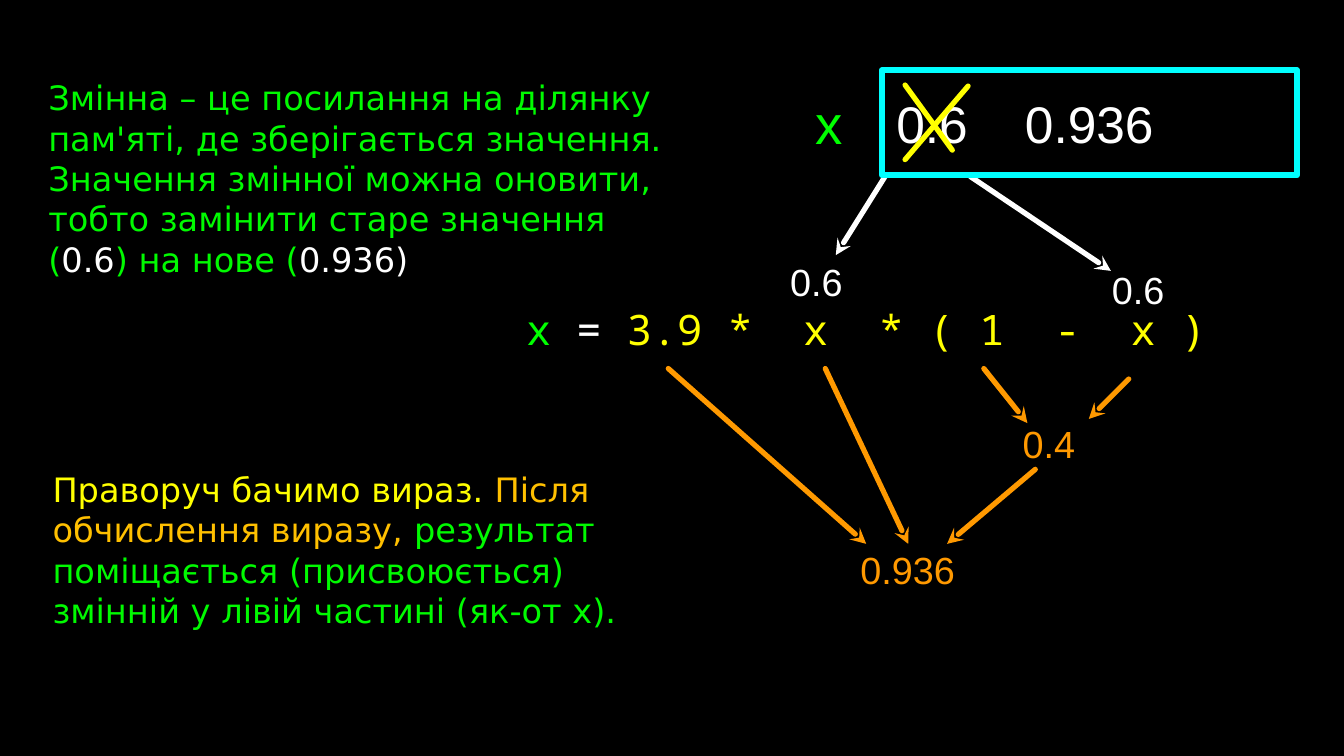
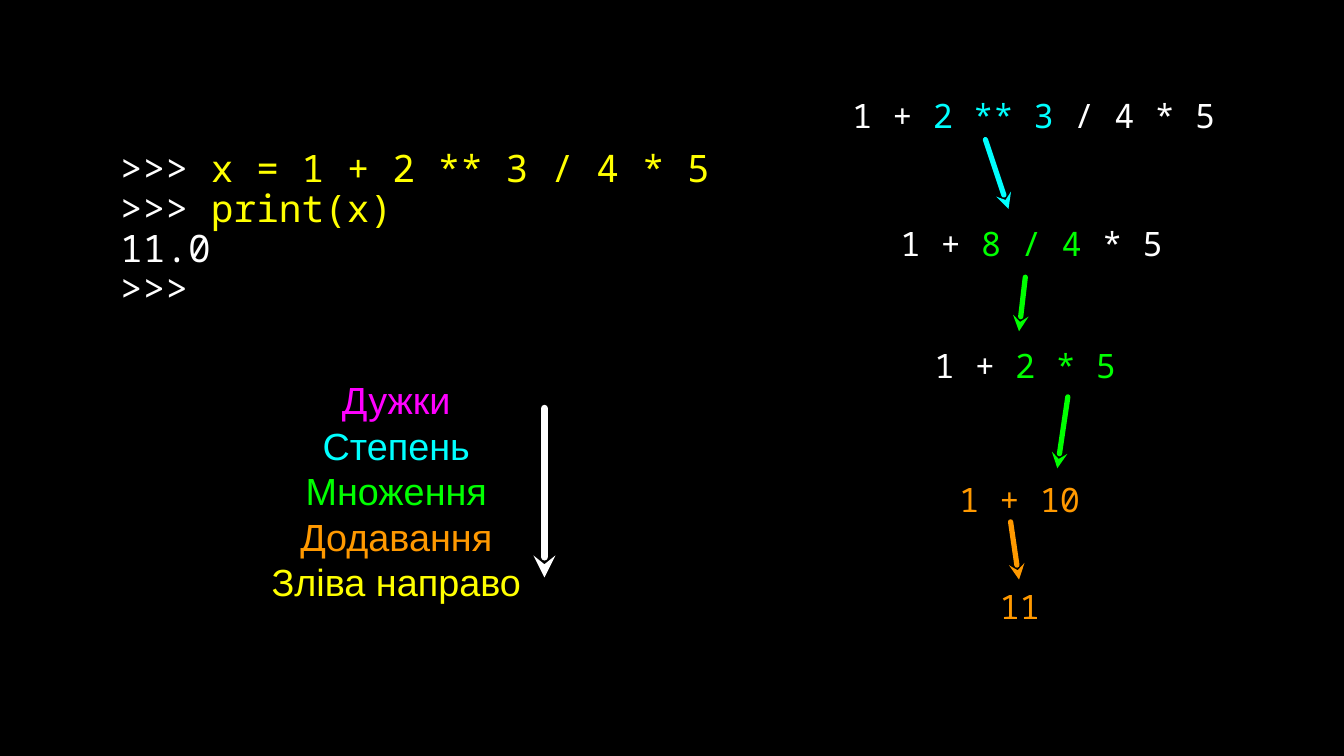
from lxml import etree
from pptx import Presentation
from pptx.dml.color import RGBColor
from pptx.enum.shapes import MSO_CONNECTOR, MSO_SHAPE
from pptx.enum.text import MSO_ANCHOR, PP_ALIGN
from pptx.oxml.ns import qn
from pptx.util import Pt

STRAIGHT = MSO_CONNECTOR.STRAIGHT
RECTANGLE = MSO_SHAPE.RECTANGLE
MIDDLE = MSO_ANCHOR.MIDDLE
LEFT, CENTER = PP_ALIGN.LEFT, PP_ALIGN.CENTER

BLACK = RGBColor(0x00, 0x00, 0x00)
WHITE = RGBColor(0xFF, 0xFF, 0xFF)
GREEN = RGBColor(0x00, 0xFF, 0x00)
NOTE_GREEN = RGBColor(0x00, 0xFA, 0x00)
YELLOW = RGBColor(0xFF, 0xFF, 0x00)
AMBER = RGBColor(0xFF, 0xC0, 0x00)
ORANGE = RGBColor(0xFF, 0x99, 0x00)
CYAN = RGBColor(0x00, 0xFF, 0xFF)
MAGENTA = RGBColor(0xFF, 0x00, 0xFF)

SANS = "Arial"
NOTE_FONT = "DejaVu Sans"
MONO = "Noto Sans Mono"


def add_slide(presentation):
    """Add a blank slide with the shared black background."""
    slide = presentation.slides.add_slide(presentation.slide_layouts[6])
    slide.background.fill.solid()
    slide.background.fill.fore_color.rgb = BLACK
    return slide


def fill_text(shape, lines, font, size, align=LEFT, spacing=None, indent=0, tab=None):
    """Write lines of (text, colour) runs into a shape."""
    frame = shape.text_frame
    frame.word_wrap = True
    frame.vertical_anchor = MIDDLE
    frame.margin_left = Pt(indent)
    frame.margin_top = frame.margin_right = frame.margin_bottom = 0
    for index, line in enumerate(lines):
        paragraph = frame.add_paragraph() if index else frame.paragraphs[0]
        if tab:
            tabs = etree.SubElement(paragraph._p.get_or_add_pPr(), qn("a:tabLst"))
            etree.SubElement(tabs, qn("a:tab"), pos=str(Pt(tab)), algn="l")
        paragraph.alignment = align
        paragraph.line_spacing = spacing
        for text, color in line:
            run = paragraph.add_run()
            run.text = text
            run.font.name = font
            run.font.size = Pt(size)
            run.font.color.rgb = color


def add_text(shapes, left, top, width, height, lines, font, size, **style):
    """Add a text box at the given place."""
    shape = shapes.add_textbox(Pt(left), Pt(top), Pt(width), Pt(height))
    fill_text(shape, lines, font, size, **style)


def add_line(shapes, origin, points, color, weight=5, arrow=True):
    """Draw a round-capped line between two points measured from the origin."""
    left, top = origin
    x1, y1, x2, y2 = points
    connector = shapes.add_connector(
        STRAIGHT, Pt(left + x1), Pt(top + y1), Pt(left + x2), Pt(top + y2))
    connector.line.color.rgb = color
    connector.line.width = Pt(weight)
    properties = connector._element.spPr
    outline = properties.find(qn("a:ln"))
    outline.set("cap", "rnd")
    if arrow:
        etree.SubElement(outline, qn("a:tailEnd"), type="stealth")
    etree.SubElement(properties, qn("a:effectLst"))


def add_note(slide, box, runs):
    """Place an explanatory paragraph in its box."""
    add_text(slide.shapes, *box, [runs], NOTE_FONT, 32, spacing=Pt(38.4))


def add_memory_cell(slide, box):
    """Show the variable name beside its cell, with the old value crossed out."""
    left, top, width, height = box
    name_width = 68
    cell = slide.shapes.add_shape(
        RECTANGLE, Pt(left + name_width), Pt(top), Pt(width - name_width), Pt(height))
    cell.shadow.inherit = False
    cell.fill.background()
    cell.line.color.rgb = CYAN
    cell.line.width = Pt(6)
    fill_text(cell, [[("0.6\t0.936", WHITE)]], SANS, 49, indent=13.6, tab=122.6)
    add_text(slide.shapes, left, top, 36, height, [[("x", GREEN)]], SANS, 52, align=CENTER)
    for stroke in ((150, 15, 90, 85), (90, 14, 135, 76)):
        add_line(slide.shapes, (left, top), stroke, YELLOW, arrow=False)


def add_evaluation(slide, box):
    """Show the assignment with its substituted and computed values."""
    left, top, width, _ = box
    shapes = slide.shapes
    formula = [("x ", GREEN), ("= ", WHITE), ("3.9 *  x  * ( 1  -  x )", YELLOW)]
    add_text(shapes, left, top + 25, width, 91, [formula], MONO, 40)
    values = [
        ("0.6", WHITE, 241, 0, 71),
        ("0.6", WHITE, 541, 8, 84),
        ("0.4", ORANGE, 456, 155, 84),
        ("0.936", ORANGE, 295, 275, 137),
    ]
    for text, color, x, y, value_width in values:
        add_text(shapes, left + x, top + y, value_width, 49, [[(text, color)]],
                 SANS, 36, align=CENTER)
    arrows = [
        (WHITE, (342, -75, 295, 0)),
        (WHITE, (423, -75, 557, 15)),
        (ORANGE, (135.5, 108, 324, 275)),
        (ORANGE, (285, 108, 364, 275)),
        (ORANGE, (436, 108, 477.5, 160)),
        (ORANGE, (574, 118, 536, 156)),
        (ORANGE, (485, 204, 401, 275)),
    ]
    for color, points in arrows:
        add_line(shapes, (left, top), points, color)


def add_console(slide, box):
    """Show the interactive session."""
    lines = [
        [(">>> ", WHITE), ("x = 1 + 2 ** 3 / 4 * 5", YELLOW)],
        [(">>> ", WHITE), ("print(x)", YELLOW)],
        [("11.0", WHITE)],
        [(">>>", WHITE)],
    ]
    add_text(slide.shapes, *box, lines, MONO, 36, spacing=0.88)


def add_precedence(slide, box):
    """List operators by priority beside a downward arrow."""
    left, top, width, height = box
    shapes = slide.shapes.add_group_shape().shapes
    lines = [
        [("Дужки", MAGENTA)],
        [("Степень", CYAN)],
        [("Множення", GREEN)],
        [("Додавання", ORANGE)],
        [("Зліва направо", YELLOW)],
    ]
    add_text(shapes, left, top, width, height, lines, SANS, 36,
             align=CENTER, spacing=Pt(43.2))
    arrow_x = width + 19
    add_line(shapes, (left, top), (arrow_x, 38, arrow_x, 199), WHITE, weight=7)


def add_steps(slide, box):
    """Reduce the expression step by step, with an arrow between steps."""
    left, top, width, _ = box
    steps = [
        (0, 0, width, [("1 + ", WHITE), ("2 ** 3", CYAN), (" / 4 * 5", WHITE)]),
        (46, 122, 318, [("1 + ", WHITE), ("8 / 4", GREEN), (" * 5", WHITE)]),
        (78.5, 238, 253, [("1 + ", WHITE), ("2 * 5", GREEN)]),
        (102, 366.5, 178, [("1 + 10", ORANGE)]),
        (140.5, 468, 57, [("11", ORANGE)]),
    ]
    for x, y, step_width, runs in steps:
        add_text(slide.shapes, left + x, top + y, step_width, 62.5, [runs], MONO, 32)
    arrows = [
        (CYAN, (127, 55, 149, 121)),
        (GREEN, (165, 186, 159, 237.5)),
        (GREEN, (205.5, 300, 195.5, 368)),
        (ORANGE, (151, 419, 159, 474)),
    ]
    for color, points in arrows:
        add_line(slide.shapes, (left, top), points, color)


def build_variable_slide(presentation):
    """Explain how a variable's value is updated."""
    slide = add_slide(presentation)
    add_evaluation(slide, (501, 243, 696, 324))
    add_memory_cell(slide, (772, 67, 463, 100))
    add_note(slide, (50, 442, 603, 163), [
        ("Праворуч бачимо вираз. ", YELLOW),
        ("Після обчислення виразу, ", AMBER),
        ("результат поміщається (присвоюється) змінній у лівій частині (як-от x).",
         NOTE_GREEN),
    ])
    add_note(slide, (46, 53, 591, 233), [
        ("Змінна – це посилання на ділянку пам'яті, де зберігається значення. "
         "Значення змінної можна оновити, тобто замінити старе значення (", NOTE_GREEN),
        ("0.6", WHITE),
        (") на нове (", NOTE_GREEN),
        ("0.936)", WHITE),
    ])


def build_precedence_slide(presentation):
    """Explain the order of operations."""
    slide = add_slide(presentation)
    add_steps(slide, (811.5, 78, 364, 531))
    add_console(slide, (114.5, 103, 579, 232.5))
    add_precedence(slide, (255.5, 351, 244, 232.5))


def main():
    """Build and save the presentation."""
    presentation = Presentation()
    presentation.slide_width = Pt(1280)
    presentation.slide_height = Pt(720)
    build_variable_slide(presentation)
    build_precedence_slide(presentation)
    presentation.save("out.pptx")


if __name__ == "__main__":
    main()
